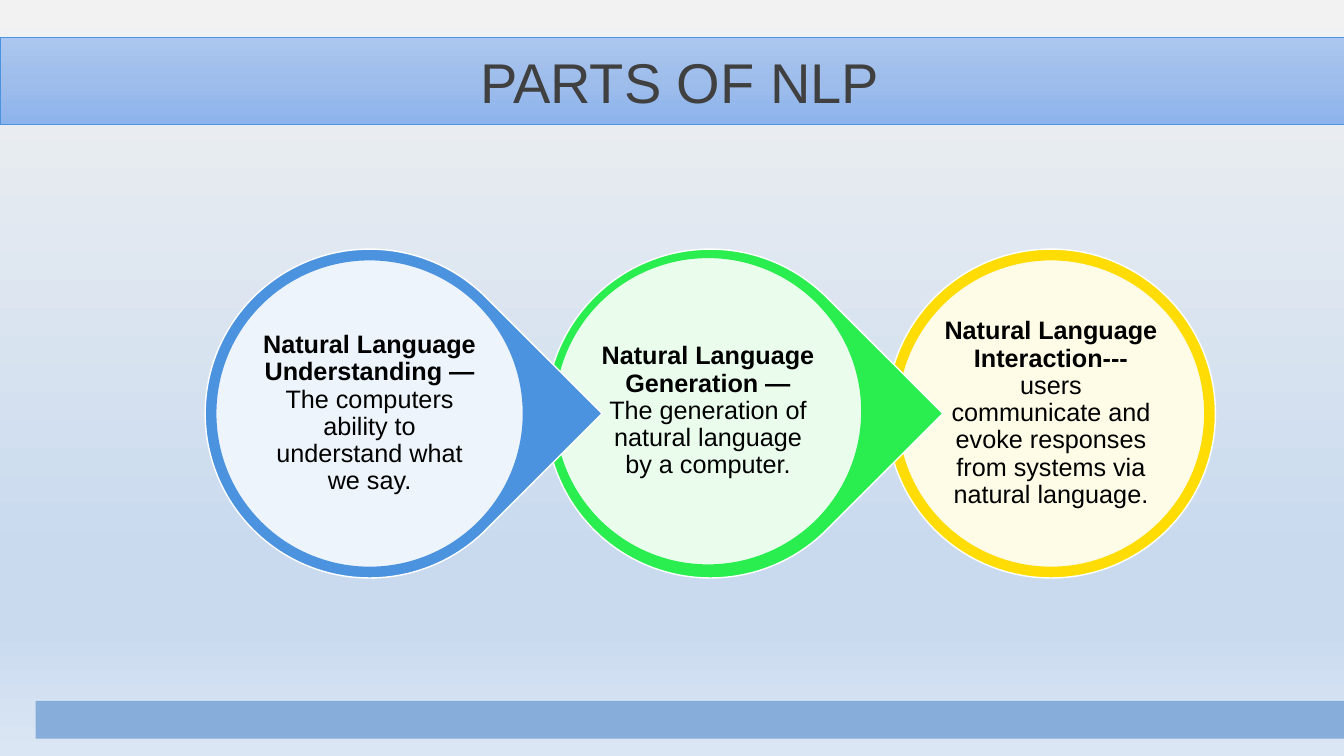
from dataclasses import dataclass

from lxml.etree import SubElement
from pptx import Presentation
from pptx.dml.color import RGBColor
from pptx.dml.fill import FillFormat
from pptx.enum.shapes import MSO_SHAPE as Shape
from pptx.enum.text import MSO_ANCHOR as Anchor, MSO_AUTO_SIZE as AutoSize, PP_ALIGN as Align
from pptx.oxml.ns import qn
from pptx.util import Inches, Pt

W, H = Inches(13.333), Inches(7.5)

WHITE = RGBColor(0xFF, 0xFF, 0xFF)
BLACK = RGBColor(0x00, 0x00, 0x00)
GREY = RGBColor(0x40, 0x40, 0x40)
BLUE = RGBColor(0x4C, 0x93, 0xDF)
GREEN = RGBColor(0x2A, 0xED, 0x4F)
YELLOW = RGBColor(0xFE, 0xDC, 0x04)
FOOTER_BLUE = RGBColor(0x87, 0xAD, 0xDB)
PALE_GREY = RGBColor(0xF2, 0xF2, 0xF2)
PALE_BLUE = RGBColor(0xC9, 0xDA, 0xEF)
PALEST_BLUE = RGBColor(0xDB, 0xE6, 0xF4)
TITLE_TOP = RGBColor(0xAC, 0xC7, 0xEF)
TITLE_MID = RGBColor(0x9E, 0xBD, 0xEB)
TITLE_END = RGBColor(0x8C, 0xB3, 0xEC)

FONT = "Arial"

# Chain of circles: x as shares of the width, y and sizes as shares of the height
FIRST_X, PITCH, CENTRE_Y = 0.275, 0.2535, 0.547
RING, DISC, LABEL = 0.435, 0.407, 0.29


@dataclass(frozen=True)
class Part:
    heading: str
    text: str
    color: RGBColor
    pointed: bool = True
    disc_shift: float = 0  # share of the height, left and up


PARTS = [
    Part("Natural Language Understanding\u200a—\u200a".replace("\u200a", " "),
         "The computers ability to\vunderstand what we say.", BLUE),
    Part("Natural Language Generation — ",
         "The generation of natural language by a computer.", GREEN, disc_shift=0.003),
    Part("Natural Language Interaction---",
         "users communicate and evoke responses from systems via natural language.",
         YELLOW, pointed=False),
]
PARTS[0] = Part("Natural Language Understanding — ", PARTS[0].text, BLUE)


def set_gradient(fill: FillFormat, holder, stops: list[tuple[int, RGBColor]]) -> None:
    """Fill from top to bottom with stops given in percent."""
    fill.gradient()
    fill.gradient_angle = 270
    gs_list = next(holder.iter(qn("a:gsLst")))
    for gs in list(gs_list):
        gs_list.remove(gs)
    for pos, color in stops:
        gs = SubElement(gs_list, qn("a:gs"), pos=str(pos * 1000))
        SubElement(gs, qn("a:srgbClr"), val=str(color))


def square(x: float, y: float, size: float) -> tuple[int, int, int, int]:
    """Box of a square centred at shares x, y of the slide."""
    side = int(size * H)
    return int(x * W - side / 2), int(y * H - side / 2), side, side


def add_round(slide, kind, box, fill: RGBColor, line: RGBColor):
    sp = slide.shapes.add_shape(kind, *box)
    sp.shadow.inherit = False
    sp.fill.solid()
    sp.fill.fore_color.rgb = fill
    sp.line.color.rgb = line
    sp.line.width = Pt(1)
    return sp


def add_part(slide, index: int, part: Part) -> None:
    x = FIRST_X + index * PITCH
    disc_x = x - part.disc_shift * H / W
    disc_y = CENTRE_Y - part.disc_shift

    # Outer ring, pointing to the next part
    kind = Shape.TEAR if part.pointed else Shape.OVAL
    ring = add_round(slide, kind, square(x, CENTRE_Y, RING), part.color, WHITE)
    ring.rotation = 45 if part.pointed else 0

    # Translucent disc
    disc = add_round(slide, Shape.OVAL, square(disc_x, disc_y, DISC), WHITE, part.color)
    white = disc.fill._xPr.find(qn("a:solidFill"))[0]
    SubElement(white, qn("a:alpha"), val="90000")

    # Label
    tf = slide.shapes.add_textbox(*square(disc_x, disc_y, LABEL)).text_frame
    tf.word_wrap = True
    tf.vertical_anchor = Anchor.MIDDLE
    tf.margin_left = tf.margin_right = tf.margin_top = tf.margin_bottom = Inches(0.03)
    p = tf.paragraphs[0]
    p.text = part.text
    p.alignment = Align.CENTER
    p.line_spacing = 0.9
    p.font.name, p.font.size = FONT, Pt(18)
    p.font.color.rgb = BLACK
    r = p.add_run()
    r.text = part.heading
    r.font.bold = True
    p._p.insert(p._p.index(p._p.pPr) + 1, r._r)


def add_title(slide) -> None:
    sp = slide.shapes.title
    sp.left, sp.top, sp.width, sp.height = 0, int(0.049 * H), W, int(0.116 * H)
    set_gradient(sp.fill, sp._element,
                 [(0, TITLE_TOP), (50, TITLE_MID), (100, TITLE_END)])
    sp.line.color.rgb = BLUE
    sp.line.width = Pt(0.5)
    tf = sp.text_frame
    tf.auto_size = AutoSize.NONE
    tf.vertical_anchor = Anchor.MIDDLE
    tf.margin_left = Inches(0.25)
    p = tf.paragraphs[0]
    p.text = "PARTS OF NLP"
    p.alignment = Align.CENTER
    p.font.name, p.font.size = FONT, Pt(40)
    p.font.color.rgb = GREY


def add_footer(slide) -> None:
    left = int(0.0265 * W)
    sp = slide.shapes.add_shape(Shape.RECTANGLE, left, int(0.927 * H), W - left, int(0.05 * H))
    sp.shadow.inherit = False
    sp.fill.solid()
    sp.fill.fore_color.rgb = FOOTER_BLUE
    sp.line.fill.background()


def main() -> None:
    prs = Presentation()
    prs.slide_width, prs.slide_height = W, H
    slide = prs.slides.add_slide(prs.slide_layouts[5])
    set_gradient(slide.background.fill, slide._element.cSld.bg,
                 [(0, PALE_GREY), (74, PALE_BLUE), (83, PALE_BLUE), (100, PALEST_BLUE)])
    add_footer(slide)
    add_title(slide)

    # Right to left, so that each point overlaps the next circle
    for index, part in reversed(list(enumerate(PARTS))):
        add_part(slide, index, part)

    prs.save("out.pptx")


if __name__ == "__main__":
    main()
